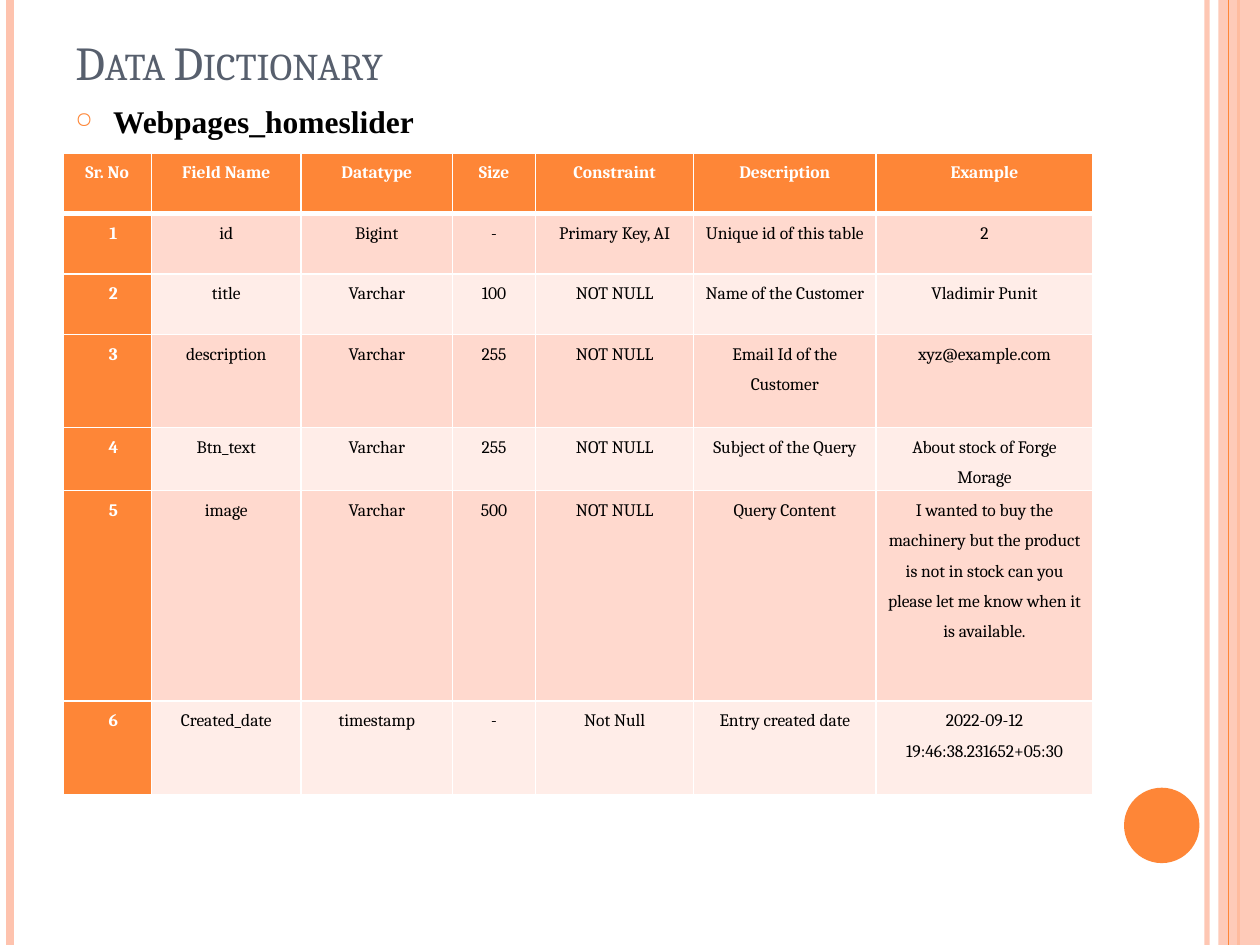
from lxml import etree
from pptx import Presentation
from pptx.dml.color import RGBColor
from pptx.enum.shapes import MSO_CONNECTOR, MSO_SHAPE
from pptx.enum.text import MSO_ANCHOR, PP_ALIGN
from pptx.oxml.ns import qn
from pptx.util import Cm, Pt

STRAIGHT = MSO_CONNECTOR.STRAIGHT
RECT, OVAL = MSO_SHAPE.RECTANGLE, MSO_SHAPE.OVAL
TOP, BOTTOM, CENTER = MSO_ANCHOR.TOP, MSO_ANCHOR.BOTTOM, PP_ALIGN.CENTER

WIDE, HIGH = 25.4, 19.05
ORANGE, PEACH, WHITE, BLACK, SLATE = "FE8637", "FEC3AE", "FFFFFF", "000000", "575F6D"
BANDS = ("FFD9CE", "FFEDE8")
LEFT, SPAN = 1.27, 20.75

COLS = (1.78, 3.02, 3.05, 1.68, 3.18, 3.68, 4.37)
ROWS = (1.22, 1.22, 1.22, 1.88, 1.22, 4.24, 1.88)
FIELDS = (
    ("Sr. No", "Field Name", "Datatype", "Size", "Constraint", "Description", "Example"),
    ("1", "id", "Bigint", "-", "Primary Key, AI", "Unique id of this table", "2"),
    ("2", "title", "Varchar", "100", "NOT NULL", "Name of the Customer", "Vladimir Punit"),
    ("3", "description", "Varchar", "255", "NOT NULL", "Email Id of the Customer",
     "xyz@example.com"),
    ("4", "Btn_text", "Varchar", "255", "NOT NULL", "Subject of the Query",
     "About stock of Forge Morage"),
    ("5", "image", "Varchar", "500", "NOT NULL", "Query Content",
     "I wanted to buy the machinery but the product is not in stock "
     "can you please let me know when it is available."),
    ("6", "Created_date", "timestamp", "-", "Not Null", "Entry created date",
     "2022-09-12 19:46:38.231652+05:30"),
)


def color(code):
    return RGBColor.from_string(code)


def add(parent, tag, **attrs):
    node = etree.SubElement(parent, qn(tag))
    for key, val in attrs.items():
        node.set(key, str(val))
    return node


def fade(shape, percent):
    tint = shape.element.spPr.find(".//" + qn("a:srgbClr"))
    add(tint, "a:alpha", val=percent * 1000)


def style(para, size, font, code, bold=False):
    for run in para.runs:
        run.font.size, run.font.name, run.font.bold = Pt(size), font, bold
        run.font.color.rgb = color(code)


def add_rule(slide, x, width, code):
    rule = slide.shapes.add_connector(STRAIGHT, Cm(x), 0, Cm(x), Cm(HIGH))
    rule.line.color.rgb = color(code)
    rule.line.width = Pt(width)
    add(rule.element.spPr, "a:effectLst")
    return rule


def add_block(slide, kind, x, y, w, h, code):
    block = slide.shapes.add_shape(kind, Cm(x), Cm(y), Cm(w), Cm(h))
    block.shadow.inherit = False
    block.fill.solid()
    block.fill.fore_color.rgb = color(code)
    block.line.fill.background()
    return block


def add_text(slide, y, h, text, anchor):
    box = slide.shapes.add_textbox(Cm(LEFT), Cm(y), Cm(SPAN), Cm(h))
    frame = box.text_frame
    frame.word_wrap = True
    frame.vertical_anchor = anchor
    frame.text = text
    return frame.paragraphs[0]


def add_bullet(para):
    props = para._p.get_or_add_pPr()
    props.set("marL", str(Cm(0.76)))
    props.set("indent", str(Cm(-0.76)))
    add(add(props, "a:buClr"), "a:srgbClr", val=ORANGE)
    add(props, "a:buSzPct", val=70000)
    add(props, "a:buChar", char="○")


def set_borders(cell, top, bottom):
    props = cell._tc.get_or_add_tcPr()
    for side, width in (("L", 1), ("R", 1), ("T", top), ("B", bottom)):
        edge = add(props, "a:ln" + side, w=Pt(width))
        add(add(edge, "a:solidFill"), "a:srgbClr", val=WHITE)


def fill_cell(cell, text, row, col):
    head = row == 0 or col == 0
    set_borders(cell, 3 if row == 1 else 1, 3 if row == 0 else 1)
    cell.fill.solid()
    cell.fill.fore_color.rgb = color(ORANGE if head else BANDS[(row - 1) % 2])
    cell.margin_left = cell.margin_right = Cm(0.18)
    cell.margin_top = cell.margin_bottom = 0
    cell.text_frame.text = text
    para = cell.text_frame.paragraphs[0]
    para.alignment, para.line_spacing, para.space_after = CENTER, 1.5, Pt(10)
    if row and not col:
        para._p.get_or_add_pPr().set("marL", str(Cm(0.25)))
        para._p.get_or_add_pPr().set("indent", "0")
    style(para, 10, "Cambria", WHITE if head else BLACK, head)


def add_grid(slide):
    table = slide.shapes.add_table(len(ROWS), len(COLS), Cm(LEFT), Cm(3.08),
                                   Cm(sum(COLS)), Cm(sum(ROWS))).table
    for col, width in zip(table.columns, COLS):
        col.width = Cm(width)
    for row, height in zip(table.rows, ROWS):
        row.height = Cm(height)
    for r, line in enumerate(FIELDS):
        for c, text in enumerate(line):
            fill_cell(table.cell(r, c), text, r, c)


def main():
    deck = Presentation()
    deck.slide_width, deck.slide_height = Cm(WIDE), Cm(HIGH)
    slide = deck.slides.add_slide(deck.slide_layouts[6])

    # Side stripes and disc
    fade(add_rule(slide, 24.33, 3, PEACH), 93)
    add_rule(slide, 0.2, 4.5, PEACH)
    add_rule(slide, 24.97, 1.5, ORANGE)
    fade(add_block(slide, RECT, 24.56, 0, 0.84, HIGH, PEACH), 87)
    add_rule(slide, 24.77, 0.75, ORANGE)
    add_block(slide, OVAL, 22.66, 15.88, 1.52, 1.52, ORANGE)

    # Title
    title = add_text(slide, 0.76, 1.17, "Data Dictionary", BOTTOM)
    style(title, 27, "Cambria", SLATE)
    title.runs[0].font._element.set("cap", "small")

    # Table name
    name = add_text(slide, 1.93, 1.15, "Webpages_homeslider", TOP)
    add_bullet(name)
    style(name, 18, "Times New Roman", BLACK, True)

    # Field list
    add_grid(slide)
    deck.save("out.pptx")


if __name__ == "__main__":
    main()
